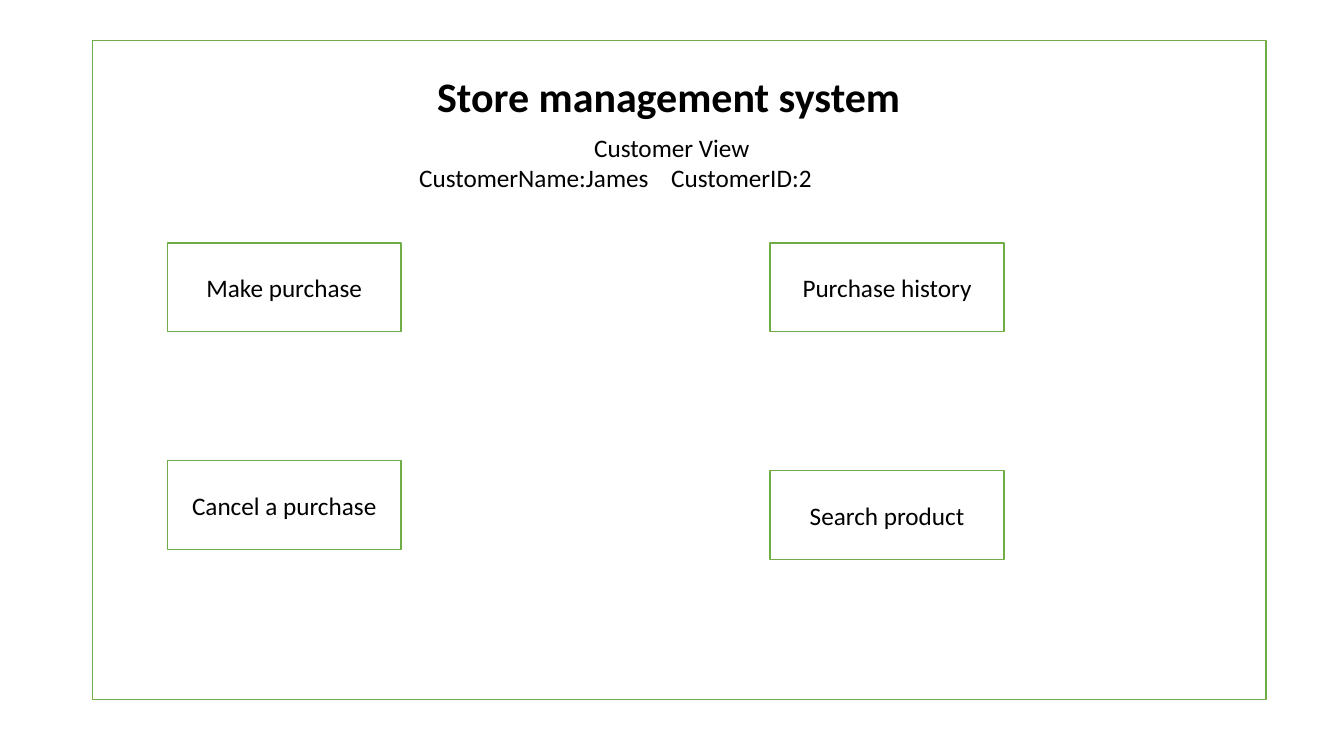
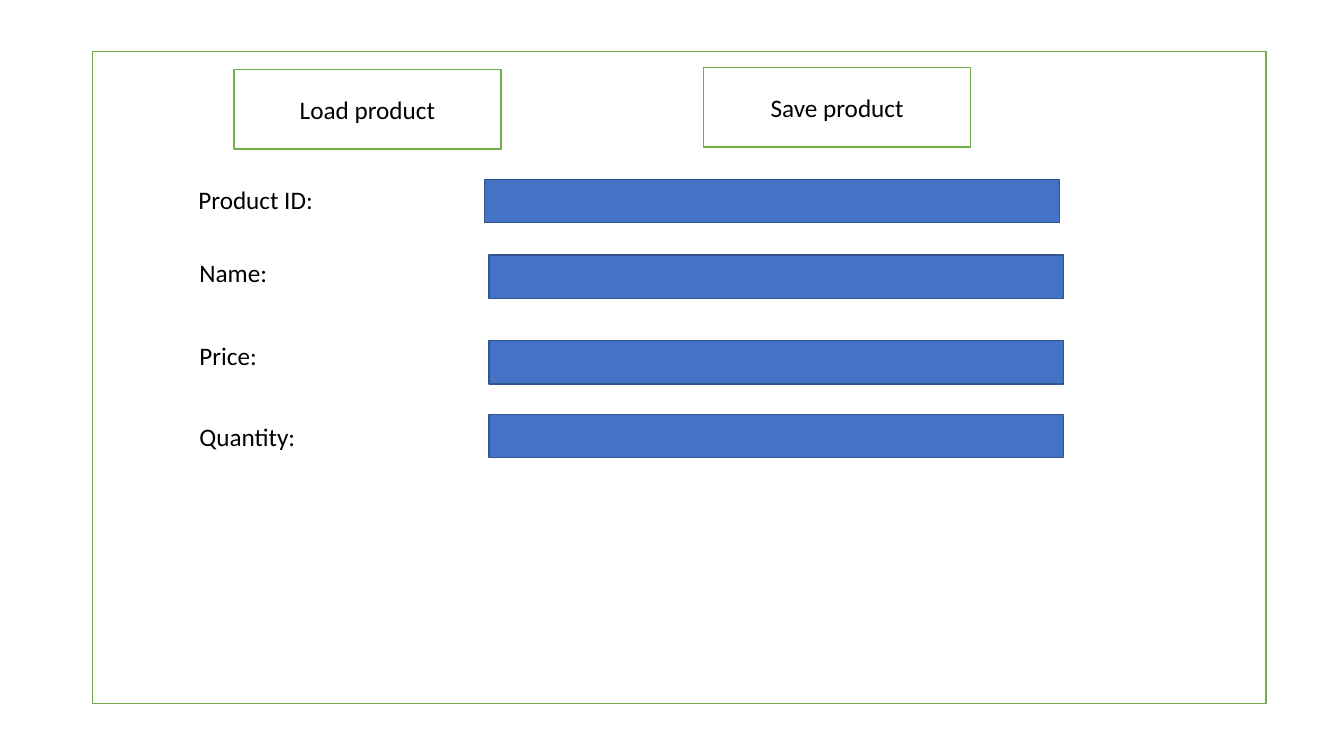
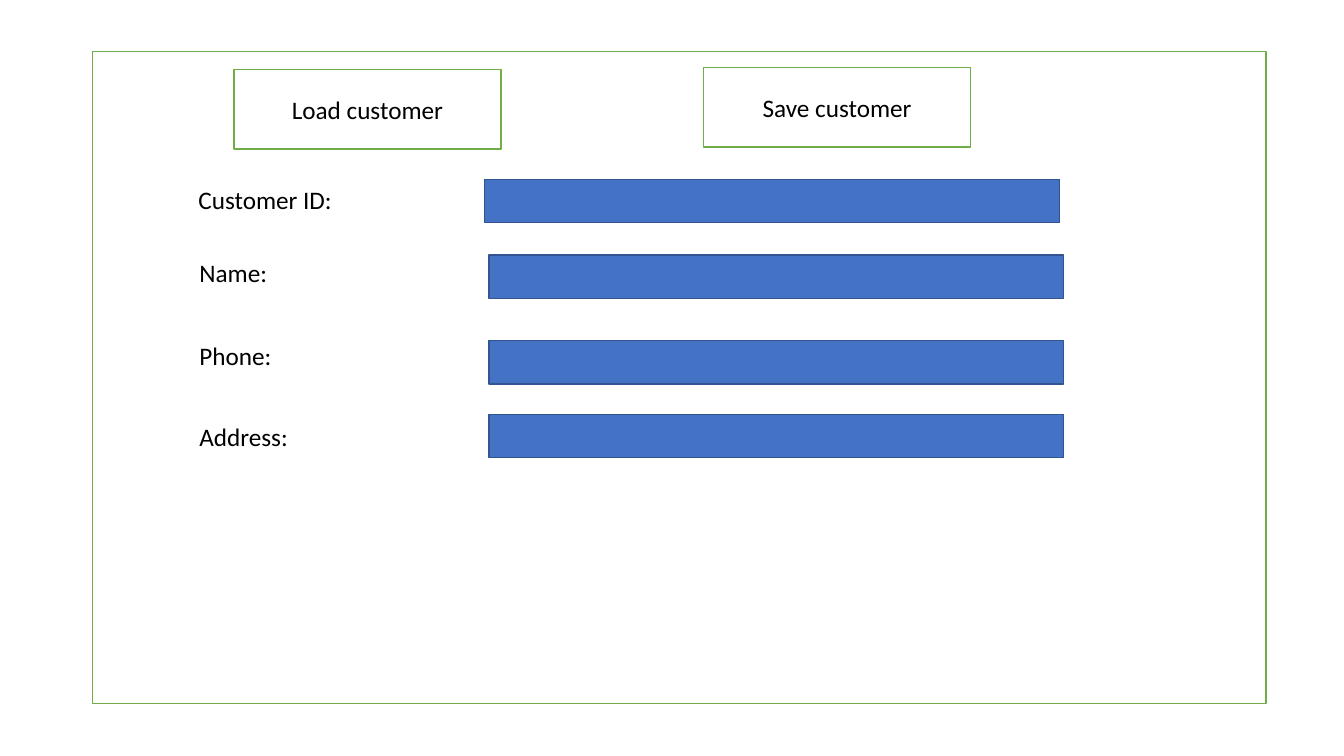
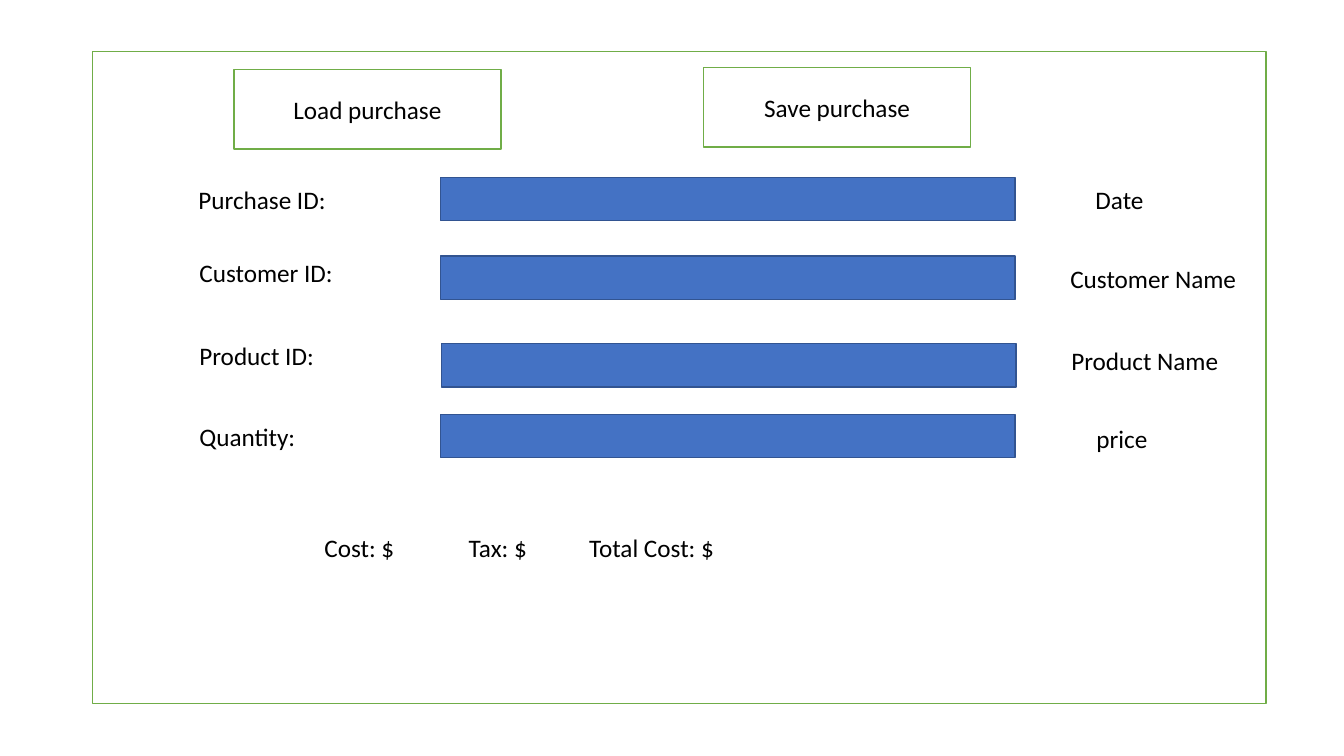
import pptx
import pptx.util
import pptx.dml.color
import pptx.enum.shapes
import pptx.enum.text
import pptx.oxml.ns
from lxml import etree

Pt = pptx.util.Pt
RGB = pptx.dml.color.RGBColor.from_string
ALIGN = pptx.enum.text.PP_ALIGN
RECT = pptx.enum.shapes.MSO_SHAPE.RECTANGLE
qn = pptx.oxml.ns.qn

# Shared style
FONT = "Calibri"
HUES = {"white": "FFFFFF", "green": "70AD47", "blue": "4472C4",
        "navy": "325491", "black": "000000"}

deck = pptx.Presentation()
deck.slide_width, deck.slide_height = Pt(960), Pt(540)
blank = deck.slide_layouts[6]


def box(slide, spot, fill="white", line="green"):
    shape = slide.shapes.add_shape(RECT, *map(Pt, spot))
    shape.shadow.inherit = False
    shape.fill.solid()
    shape.fill.fore_color.rgb = RGB(HUES[fill])
    shape.line.color.rgb = RGB(HUES[line])
    shape.line.width = Pt(1)
    return shape


def write(shape, words, size=18, bold=False, align=ALIGN.LEFT, tabs=(), more=False):
    frame = shape.text_frame
    frame.word_wrap = True
    para = frame.add_paragraph() if more else frame.paragraphs[0]
    para.alignment = align
    if tabs:
        stops = etree.SubElement(para._p.get_or_add_pPr(), qn("a:tabLst"))
        for stop in tabs:
            etree.SubElement(stops, qn("a:tab"), pos=str(Pt(stop)), algn="l")
    run = para.add_run()
    run.text = words
    run.font.name, run.font.size, run.font.bold = FONT, Pt(size), bold
    run.font.color.rgb = RGB(HUES["black"])


# Customer menu
menu = deck.slides.add_slide(blank)
box(menu, (66.24, 28.8, 838.08, 470.88))
title = menu.shapes.add_textbox(Pt(238.32), Pt(46.8), Pt(478.8), Pt(43.92))
write(title, "Store management system", 30, True, ALIGN.CENTER)
user = menu.shapes.add_textbox(Pt(292.32), Pt(90.72), Pt(375.12), Pt(51.12))
write(user, "Customer View", align=ALIGN.CENTER)
write(user, "CustomerName:James\tCustomerID:2", tabs=[180], more=True)
for words, left, top in [("Make purchase", 119.52, 173.52),
                         ("Search product", 550.08, 336.24),
                         ("Cancel a purchase", 119.52, 329.04),
                         ("Purchase history", 550.08, 173.52)]:
    write(box(menu, (left, top, 167.04, 63.36)), words, align=ALIGN.CENTER)

# Entry forms: noun, labels, field corners
rows = [(134.64, 128.16), (135.36, 180), (135.36, 239.76), (135.36, 297.36)]
wide = [(346.32, 128.16), (349.2, 182.16), (349.2, 243.36), (349.2, 295.92)]
near = [(314.64, 126.72), (314.64, 182.88), (315.36, 245.52), (314.64, 295.92)]
forms = [("product", ["Product ID:", "Name:", "Price:", "Quantity:"], wide),
         ("customer", ["Customer ID:", "Name:", "Phone:", "Address:"], wide),
         ("purchase", ["Purchase ID:", "Customer ID:", "Product ID:", "Quantity:"], near)]
for noun, labels, fields in forms:
    form = deck.slides.add_slide(blank)
    box(form, (66.24, 36.72, 838.08, 465.84))
    for verb, left, top in [("Load", 167.04, 49.68), ("Save", 502.56, 48.24)]:
        button = box(form, (left, top, 190.8, 56.88))
        write(button, f"{verb} {noun}", align=ALIGN.CENTER)
    for left, top in fields:
        box(form, (left, top, 410.4, 30.96), "blue", "navy")
    for label, (left, top) in zip(labels, rows):
        write(form.shapes.add_textbox(Pt(left), Pt(top), Pt(118.08), Pt(28.8)), label)

# Purchase details and totals, on the last form
for words, left, top, width in [("Date", 775.44, 128.16, 88.56),
                                ("Product Name", 758.16, 243.36, 136.8),
                                ("price", 776.16, 298.8, 88.56),
                                ("Customer Name", 757.44, 184.32, 136.8)]:
    write(form.shapes.add_textbox(Pt(left), Pt(top), Pt(width), Pt(28.8)), words)
total = form.shapes.add_textbox(Pt(224.64), Pt(376.56), Pt(416.88), Pt(28.8))
write(total, "Cost: $\tTax: $\tTotal Cost: $", tabs=[103, 189])

deck.save("out.pptx")
